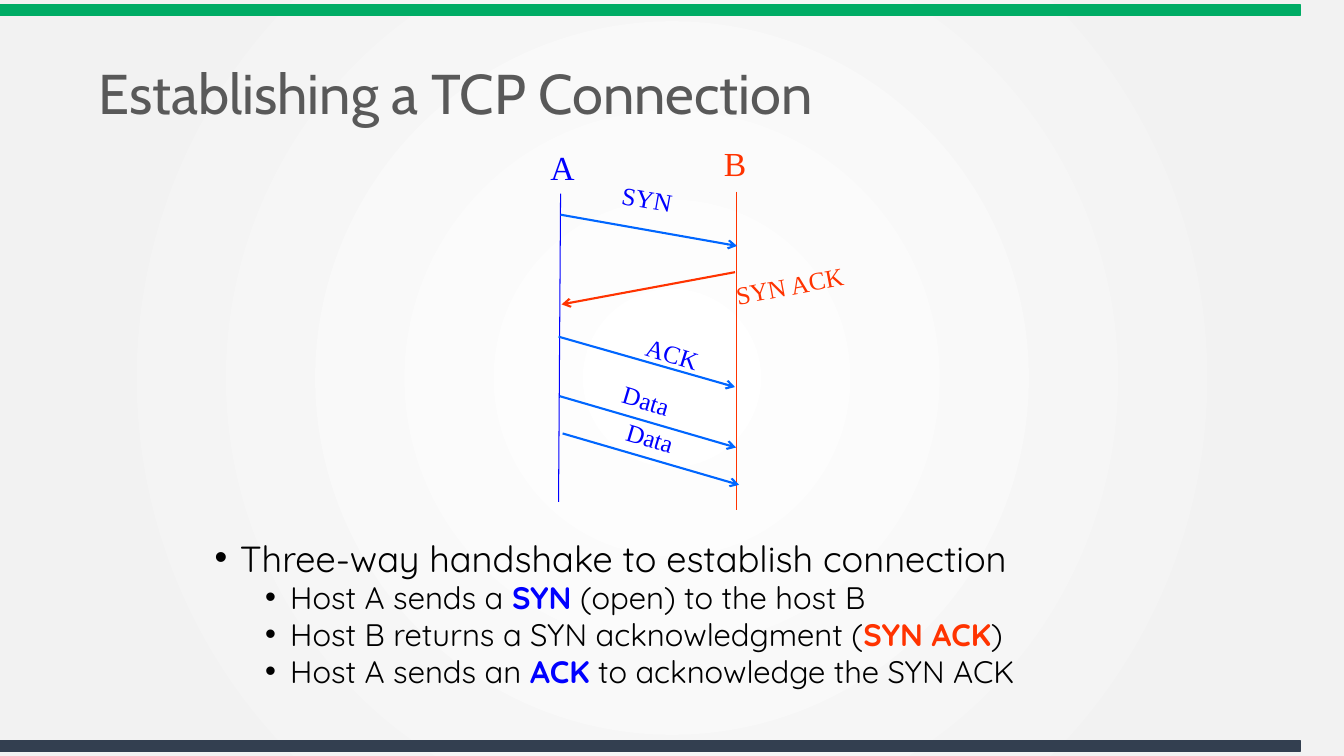
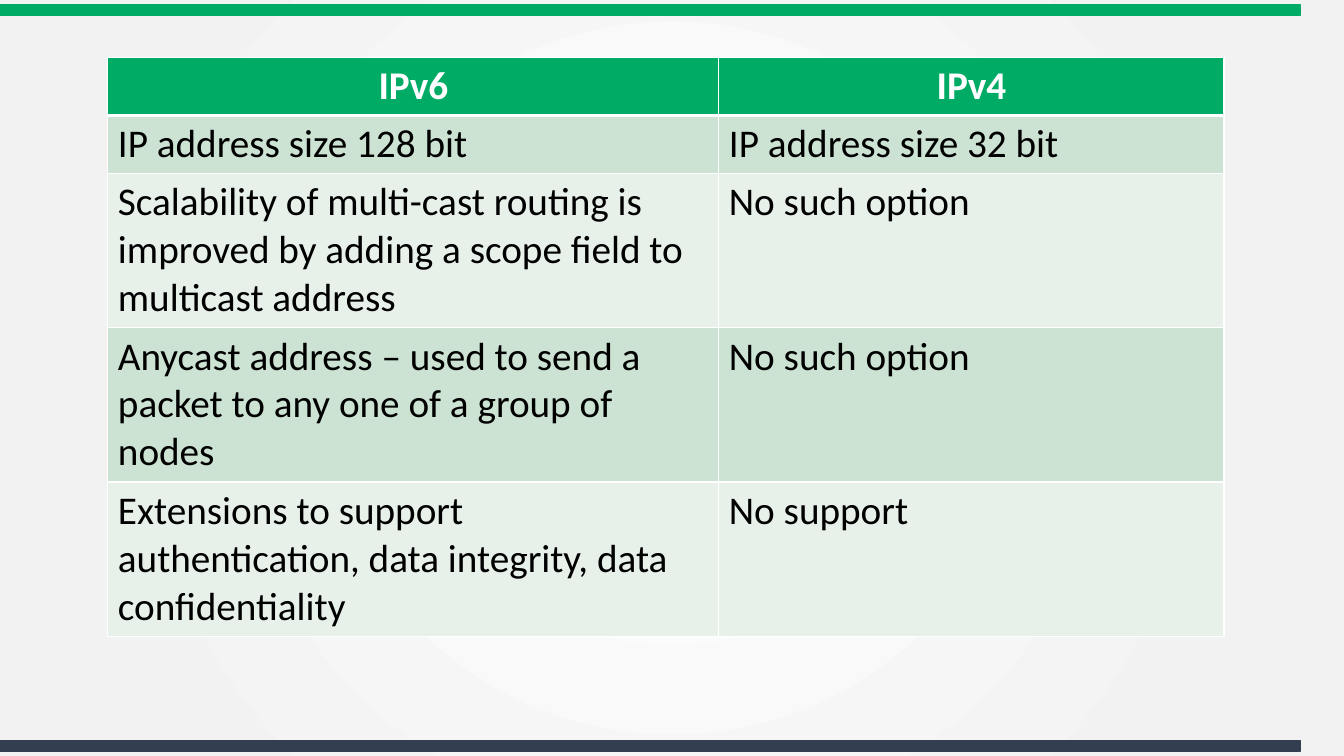
import lxml.etree
import pptx
import pptx.dml.color
import pptx.enum.shapes
import pptx.enum.text
import pptx.oxml
import pptx.oxml.ns
import pptx.util

Inches = pptx.util.Inches
Pt = pptx.util.Pt
qn = pptx.oxml.ns.qn

COLORS = {
    "green": "00AC65",
    "navy": "333F50",
    "title": "595959",
    "black": "000000",
    "white": "FFFFFF",
    "backdrop": "F2F2F2",
    "host_a": "0000FF",
    "host_b": "FF3300",
    "arrow_a": "0066FF",
    "row_dark": "CCE3D3",
    "row_light": "E7F1EA",
}
TITLE_FONT = "Cabin"
BODY_FONT = "Quicksand"
DIAGRAM_FONT = "Times New Roman"
TABLE_FONT = "Calibri"

# Label, host colour, arrow colour, arrow start, arrow end, label centre, label rotation
MESSAGES = [
    ("SYN", "host_a", "arrow_a", (5.56, 2.13), (7.31, 2.44), (6.42, 1.97), 10.1),
    ("SYN ACK", "host_b", "host_b", (7.29, 2.7), (5.57, 3.02), (7.83, 2.83), -10.9),
    ("ACK", "host_a", "arrow_a", (5.54, 3.34), (7.29, 3.84), (6.67, 3.51), 17.4),
    ("Data", "host_a", "arrow_a", (5.55, 3.93), (7.3, 4.44), (6.41, 3.97), 16.7),
    ("Data", "host_a", "arrow_a", (5.58, 4.3), (7.33, 4.81), (6.45, 4.34), 16.7),
]
# Name, colour, timeline start, timeline end, name centre
HOSTS = [
    ("A", "host_a", (5.56, 1.92), (5.54, 4.98), (5.58, 1.66)),
    ("B", "host_b", (7.3, 1.9), (7.3, 5.06), (7.29, 1.62)),
]
# Level and runs; a run is its text and the colour of an emphasised term
BULLETS = [
    (0, [("Three-way handshake to establish connection", None)]),
    (1, [("Host A sends a ", None), ("SYN", "host_a"), (" (open) to the host B", None)]),
    (1, [("Host B returns a SYN acknowledgment (", None), ("SYN ACK", "host_b"), (")", None)]),
    (1, [("Host A sends an ", None), ("ACK", "host_a"),
         (" to acknowledge the SYN ACK", None)]),
]
# Margin in inches, text size and space before in points, by level
BULLET_LEVELS = [(0.25, 25.9, 10), (0.75, 22.2, 5)]

COMPARISON = [
    ("IPv6", "IPv4"),
    ("IP address size 128 bit", "IP address size 32 bit"),
    ("Scalability of multi-cast routing is improved by adding a scope field to "
     "multicast address", "No such option"),
    ("Anycast address – used to send a packet to any one of a group of nodes",
     "No such option"),
    ("Extensions to support authentication, data integrity, data confidentiality",
     "No support"),
]
COLUMN_WIDTHS = [6.06, 5.01]
ROW_HEIGHTS = [0.57, 0.57, 1.53, 1.53, 1.53]


def rgb(name):
    return pptx.dml.color.RGBColor.from_string(COLORS[name])


def write_text(paragraph, text, *, size, font, color="black", bold=False):
    run = paragraph.add_run()
    run.text = text
    run.font.size = Pt(size)
    run.font.name = font
    run.font.bold = bold
    run.font.color.rgb = rgb(color)


def set_background(master):
    """Give the master a circular gradient around the centre of the slide."""
    fill = master.background.fill
    fill.gradient()
    gradient = next(master.element.iter(qn("a:gradFill")))
    stops = gradient.find(qn("a:gsLst"))
    for stop in list(stops):
        stops.remove(stop)
    for position, color in [(0, "white"), (81, "backdrop"), (100, "backdrop")]:
        stop = lxml.etree.SubElement(stops, qn("a:gs"), pos=str(position * 1000))
        lxml.etree.SubElement(stop, qn("a:srgbClr"), val=COLORS[color])
    gradient.remove(gradient.find(qn("a:lin")))
    circle = lxml.etree.SubElement(gradient, qn("a:path"), path="circle")
    lxml.etree.SubElement(circle, qn("a:fillToRect"), l="50000", t="50000",
                          r="50000", b="50000")


def add_master_bands(master, slide):
    """Draw the bands on a slide, then move them to the master for all slides."""
    for number, (top, color) in enumerate([(0.05, "green"), (7.35, "navy")]):
        band = slide.shapes.add_shape(pptx.enum.shapes.MSO_SHAPE.RECTANGLE, 0,
                                      Inches(top), Inches(12.9), Inches(0.1))
        band.shadow.inherit = False
        band.fill.solid()
        band.fill.fore_color.rgb = rgb(color)
        band.line.color.rgb = rgb(color)
        band.line.width = Pt(1)
        next(band.element.iter(qn("p:cNvPr"))).set("id", str(101 + number))
        master.shapes.element.append(band.element)


def set_title(slide, text):
    title = slide.shapes.title
    title.left, title.top = Inches(0.88), Inches(0.56)
    title.width, title.height = Inches(11.7), Inches(0.8)
    title.text_frame.vertical_anchor = pptx.enum.text.MSO_ANCHOR.MIDDLE
    paragraph = title.text_frame.paragraphs[0]
    paragraph.alignment = pptx.enum.text.PP_ALIGN.LEFT
    paragraph.line_spacing = 0.9
    write_text(paragraph, text, size=40, font=TITLE_FONT, color="title")


def add_line(slide, start, end, color, width, arrow=False):
    connector = slide.shapes.add_connector(
        pptx.enum.shapes.MSO_CONNECTOR.STRAIGHT,
        *[Inches(value) for value in (*start, *end)])
    connector.line.color.rgb = rgb(color)
    connector.line.width = Pt(width)
    properties = connector.element.spPr
    if arrow:
        lxml.etree.SubElement(properties.find(qn("a:ln")), qn("a:tailEnd"), type="arrow")
    lxml.etree.SubElement(properties, qn("a:effectLst"))


def add_label(slide, text, center, color, size, rotation=0):
    width, height = 1.4, 0.5
    label = slide.shapes.add_textbox(Inches(center[0] - width / 2),
                                     Inches(center[1] - height / 2),
                                     Inches(width), Inches(height))
    label.rotation = rotation
    label.text_frame.word_wrap = True
    label.text_frame.vertical_anchor = pptx.enum.text.MSO_ANCHOR.MIDDLE
    paragraph = label.text_frame.paragraphs[0]
    paragraph.alignment = pptx.enum.text.PP_ALIGN.CENTER
    write_text(paragraph, text, size=size, font=DIAGRAM_FONT, color=color)


def add_bullets(slide, bullets):
    box = slide.shapes.add_textbox(Inches(2.03), Inches(5.35), Inches(9.25), Inches(1.64))
    frame = box.text_frame
    frame.word_wrap = True
    for index, (level, runs) in enumerate(bullets):
        paragraph = frame.add_paragraph() if index else frame.paragraphs[0]
        margin, size, space = BULLET_LEVELS[level]
        paragraph.level = level
        paragraph.line_spacing = 0.8
        paragraph.space_before = Pt(space)
        properties = paragraph._p.get_or_add_pPr()
        properties.set("marL", str(Inches(margin)))
        properties.set("indent", str(Inches(-0.25)))
        lxml.etree.SubElement(properties, qn("a:buFont"), typeface="Arial")
        lxml.etree.SubElement(properties, qn("a:buChar"), char="•")
        for text, emphasis in runs:
            write_text(paragraph, text, size=size, font=BODY_FONT,
                       color=emphasis or "black", bold=bool(emphasis))


def set_borders(cell, **widths):
    """Draw white borders; widths are points by side, in the order L, R, T, B."""
    properties = cell._tc.get_or_add_tcPr()
    for side, width in widths.items():
        border = lxml.etree.SubElement(properties, qn(f"a:ln{side}"), w=str(Pt(width)))
        fill = lxml.etree.SubElement(border, qn("a:solidFill"))
        lxml.etree.SubElement(fill, qn("a:srgbClr"), val=COLORS["white"])


def add_comparison(slide, rows):
    table = slide.shapes.add_table(
        len(rows), len(COLUMN_WIDTHS), Inches(1.07), Inches(0.57),
        Inches(sum(COLUMN_WIDTHS)), Inches(sum(ROW_HEIGHTS))).table
    for column, width in zip(table.columns, COLUMN_WIDTHS):
        column.width = Inches(width)
    for row_index, texts in enumerate(rows):
        table.rows[row_index].height = Inches(ROW_HEIGHTS[row_index])
        header = row_index == 0
        fill = "green" if header else ("row_light", "row_dark")[row_index % 2]
        for column_index, text in enumerate(texts):
            cell = table.cell(row_index, column_index)
            set_borders(cell, L=1, R=1, T=3 if row_index == 1 else 1, B=3 if header else 1)
            cell.fill.solid()
            cell.fill.fore_color.rgb = rgb(fill)
            paragraph = cell.text_frame.paragraphs[0]
            if header:
                paragraph.alignment = pptx.enum.text.PP_ALIGN.CENTER
            write_text(paragraph, text, size=28, font=TABLE_FONT, bold=header,
                       color="white" if header else "black")


def build_connection_slide(slide):
    set_title(slide, "Establishing a TCP Connection")
    add_bullets(slide, BULLETS)
    for name, color, start, end, center in HOSTS:
        add_line(slide, start, end, color, 0.75)
        add_label(slide, name, center, color, 24)
    for text, color, arrow_color, start, end, center, rotation in MESSAGES:
        add_line(slide, start, end, arrow_color, 1.5, arrow=True)
        add_label(slide, text, center, color, 18, rotation)


def main():
    presentation = pptx.Presentation()
    presentation.slide_width = Inches(13.33)
    presentation.slide_height = Inches(7.5)
    title_only, blank = presentation.slide_layouts[5], presentation.slide_layouts[6]
    connection_slide = presentation.slides.add_slide(title_only)
    set_background(presentation.slide_master)
    add_master_bands(presentation.slide_master, connection_slide)
    build_connection_slide(connection_slide)
    add_comparison(presentation.slides.add_slide(blank), COMPARISON)
    presentation.save("out.pptx")


if __name__ == "__main__":
    main()
